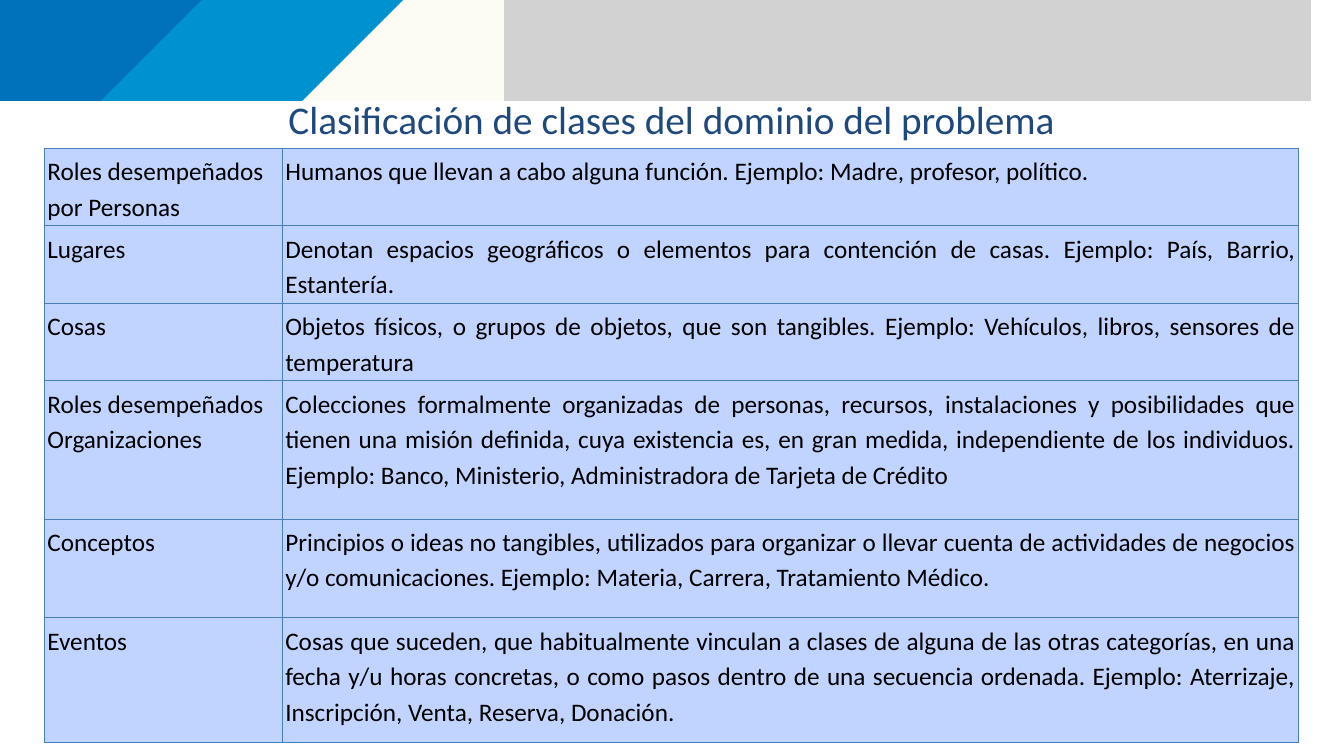
import pptx
import pptx.dml.color
import pptx.enum.text
import pptx.oxml
import pptx.oxml.ns
import pptx.util
from lxml import etree

Inches, Pt = pptx.util.Inches, pptx.util.Pt
RGBColor = pptx.dml.color.RGBColor
Align = pptx.enum.text.PP_ALIGN

GREY = RGBColor(0xD2, 0xD2, 0xD3)
CREAM = RGBColor(0xFC, 0xFB, 0xF4)
LIGHT_BLUE = RGBColor(0x00, 0x91, 0xD1)
DEEP_BLUE = RGBColor(0x00, 0x71, 0xBB)
NAVY = RGBColor(0x1F, 0x49, 0x7D)
BLACK = RGBColor(0, 0, 0)
CELL_BLUE = RGBColor(0xC0, 0xD4, 0xFF)
BORDER_BLUE = RGBColor(0x4B, 0x7E, 0xBC)

FONT = "Calibri"
WIDTH, HEIGHT = 13.33, 7.5
BAND = 0.87

deck = pptx.Presentation()
deck.slide_width, deck.slide_height = Inches(WIDTH), Inches(HEIGHT)
slide = deck.slides.add_slide(deck.slide_layouts[5])

# Header band: top edge, bottom edge and depth of each layer, back to front
header_layers = [
    (WIDTH, WIDTH, BAND, GREY),
    (5.14, 5.14, 0.86, CREAM),
    (3.92, 2.75, BAND, LIGHT_BLUE),
    (2.12, 0.94, BAND, DEEP_BLUE),
]
for top_edge, bottom_edge, depth, color in header_layers:
    outline = slide.shapes.build_freeform(0, 0, scale=Inches(1))
    outline.add_line_segments([(top_edge, 0), (bottom_edge, depth), (0, depth)])
    layer = outline.convert_to_shape()
    layer.shadow.inherit = False
    layer.fill.solid()
    layer.fill.fore_color.rgb = color
    layer.line.fill.background()

heading = slide.shapes.title
heading.left, heading.top = Inches(0.1), Inches(0.95)
heading.width, heading.height = Inches(13.12), Inches(0.47)
heading_text = heading.text_frame
heading_text.text = "Clasificación de clases del dominio del problema"
heading_text.margin_left = heading_text.margin_right = 0
heading_text.margin_top = heading_text.margin_bottom = 0
heading_text.vertical_anchor = pptx.enum.text.MSO_ANCHOR.TOP
heading_text.auto_size = pptx.enum.text.MSO_AUTO_SIZE.SHAPE_TO_FIT_TEXT
heading_line = heading_text.paragraphs[0]
heading_line.alignment = Align.CENTER
heading_line.font.name, heading_line.font.size = FONT, Pt(28)
heading_line.font.color.rgb = NAVY

# Row height, category, description
categories = [
    (0.77, "Roles desempeñados por Personas",
     "Humanos que llevan a cabo alguna función. Ejemplo: Madre, profesor, político."),
    (0.77, "Lugares",
     "Denotan espacios geográficos o elementos para contención de casas. "
     "Ejemplo: País, Barrio, Estantería."),
    (0.77, "Cosas",
     "Objetos físicos, o grupos de objetos, que son tangibles. "
     "Ejemplo: Vehículos, libros, sensores de temperatura"),
    (1.37, "Roles desempeñados Organizaciones",
     "Colecciones formalmente organizadas de personas, recursos, instalaciones y "
     "posibilidades que tienen una misión definida, cuya existencia es, en gran medida, "
     "independiente de los individuos. Ejemplo: Banco, Ministerio, Administradora de "
     "Tarjeta de Crédito"),
    (0.98, "Conceptos",
     "Principios o ideas no tangibles, utilizados para organizar o llevar cuenta de "
     "actividades de negocios y/o comunicaciones. Ejemplo: Materia, Carrera, "
     "Tratamiento Médico."),
    (1.24, "Eventos",
     "Cosas que suceden, que habitualmente vinculan a clases de alguna de las otras "
     "categorías, en una fecha y/u horas concretas, o como pasos dentro de una secuencia "
     "ordenada. Ejemplo: Aterrizaje, Inscripción, Venta, Reserva, Donación."),
]
column_widths = [2.36, 10.08]


def add_borders(cell):
    properties = cell._tc.get_or_add_tcPr()
    for position, side in enumerate(("lnL", "lnR", "lnT", "lnB")):
        border = etree.Element(pptx.oxml.ns.qn("a:" + side), w=str(Pt(0.75)))
        fill = etree.SubElement(border, pptx.oxml.ns.qn("a:solidFill"))
        etree.SubElement(fill, pptx.oxml.ns.qn("a:srgbClr"), val=str(BORDER_BLUE))
        properties.insert(position, border)


table = slide.shapes.add_table(
    len(categories), len(column_widths), Inches(0.44), Inches(1.47),
    Inches(sum(column_widths)), Inches(sum(row[0] for row in categories))).table
table.first_row = table.horz_banding = False
for column, width in zip(table.columns, column_widths):
    column.width = Inches(width)

for row, (height, *texts) in enumerate(categories):
    table.rows[row].height = Inches(height)
    for column, (text, alignment) in enumerate(zip(texts, (Align.LEFT, Align.JUSTIFY))):
        cell = table.cell(row, column)
        cell.margin_left = cell.margin_right = Inches(0.03)
        cell.margin_top = cell.margin_bottom = Inches(0.04)
        cell.fill.solid()
        cell.fill.fore_color.rgb = CELL_BLUE
        add_borders(cell)
        cell.text = text
        entry = cell.text_frame.paragraphs[0]
        entry.alignment, entry.line_spacing = alignment, 1.15
        entry.font.name, entry.font.size = FONT, Pt(18)
        entry.font.color.rgb = BLACK

deck.save("out.pptx")
